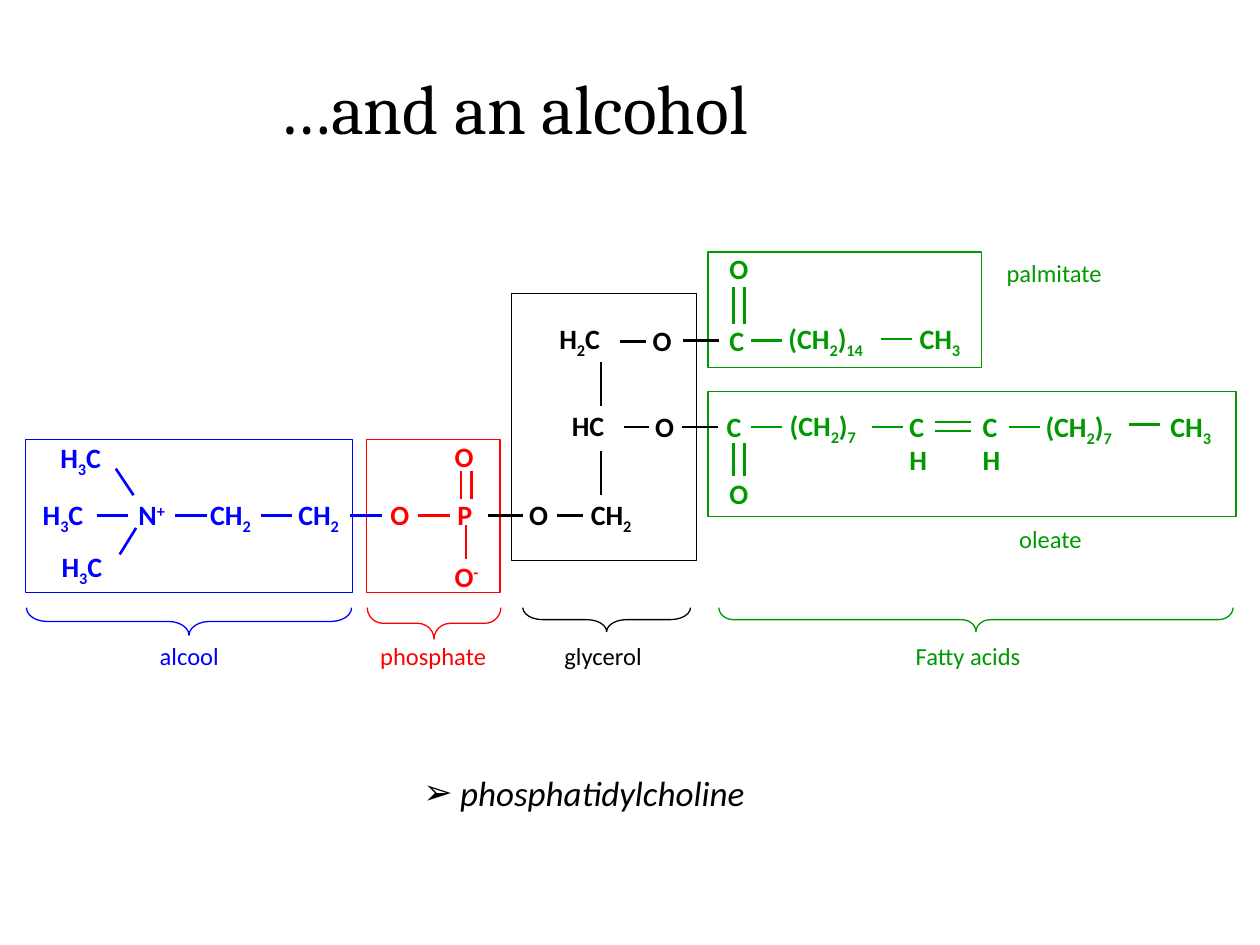
import pptx
import pptx.dml.color
import pptx.enum.shapes
import pptx.enum.text
import pptx.oxml.ns
import pptx.util
from lxml import etree

Pt = pptx.util.Pt

THEME = {
    "alcohol": "0000FF", "phosphate": "FF0000", "glycerol": "000000",
    "fatty acids": "009900", "text": "000000", "paper": "FFFFFF",
    "font": "Calibri", "title font": "Cambria",
    "title": 40, "list": 20, "atom": 16, "label": 14,
    "outline": 0.75, "bond": 1.5,
}

TITLE = ("…and an alcohol", (151.9, 33.1, 325.4, 55.4))
MOLECULE = ("phosphatidylcholine", (234.7, 437, 203.8, 31.7))
BULLET_INDENT = 21

# Formulas: runs split by "|", "_" marks a subscript and "^" a superscript.
H3C, H2C, CH2, CH3 = "H|_3|C", "H|_2|C", "CH|_2", "CH|_3"
CH2_7, CH2_14 = "(CH|_2|)|_7", "(CH|_2|)|_14"
ATOM_WIDTHS = {
    H3C: 44.6, H2C: 44.6, CH2: 44.6, CH3: 44.6, CH2_7: 60.5, CH2_14: 67,
    "CH": 24.5, "C": 23.8, "O": 27.4, "P": 25.2, "HC": 37.4, "N|^+": 32.4, "O|^-": 31,
}
ATOM_HEIGHT = 26.6
CHAIN_TOP, CHAIN_AXIS = 280.8, 294.5      # alcohol - phosphate - glycerol
OLEATE_TOP, OLEATE_AXIS = 230.4, 244
PALMITATE_TOP, PALMITATE_AXIS = 180, 194.4
BRACE_TOP, LABEL_TOP = 347.2, 362.9

# boxes: left, top, width, height; brace: left, width, depth, curl
# labels: text, left, top, width; atoms: formula, left, top
# bonds: x1, y1, x2, y2; double bonds: the centre line and the gap
PARTS = {
    "fatty acids": {
        "boxes": [(404.6, 223.9, 301.7, 71.3), (404.6, 144, 156.2, 66.2)],
        "brace": (410.8, 293.8, 13.7, 0.61),
        "labels": [("Fatty acids", 516.2, LABEL_TOP, 75.6),
                   ("palmitate", 568.1, 144, 71.3), ("oleate", 575.3, 295.9, 52.6)],
        "atoms": [("O", 409.7, 140.4), ("C", 409.7, 181.4),
                  (CH2_14, 443.5, PALMITATE_TOP), (CH3, 518.4, PALMITATE_TOP),
                  ("C", 408.2, OLEATE_TOP), ("O", 409.7, 268.6),
                  (CH2_7, 444.2, 229.7), ("CH", 512.6, OLEATE_TOP),
                  ("CH", 554.4, OLEATE_TOP), (CH2_7, 590.4, OLEATE_TOP),
                  (CH3, 661.7, OLEATE_TOP)],
        "bonds": [(429.1, PALMITATE_AXIS, 447.1, PALMITATE_AXIS),
                  (503.3, 193.7, 521.3, 193.7),
                  (429.1, OLEATE_AXIS, 447.1, OLEATE_AXIS),
                  (498.2, OLEATE_AXIS, 516.2, OLEATE_AXIS),
                  (576.4, OLEATE_AXIS, 594.4, OLEATE_AXIS),
                  (645.1, 242.6, 663.1, 242.6)],
        "double bonds": [(422.3, 164.2, 422.3, 185, 6.5),
                         (422.3, 253.4, 422.3, 272.2, 6.5),
                         (534.2, 243.7, 555.1, 243.7, 5)],
    },
    "glycerol": {
        "boxes": [(292.3, 167.8, 105.8, 152.6)],
        "brace": (298.8, 95.8, 13.7, 0.83),
        "labels": [("glycerol", 315.4, LABEL_TOP, 59)],
        "atoms": [(H2C, 312.5, PALMITATE_TOP), ("O", 365.8, 181.4),
                  ("HC", 319.7, 229.7), ("O", 367.2, OLEATE_TOP),
                  ("O", 295.2, CHAIN_TOP), (CH2, 330.5, CHAIN_TOP)],
        "bonds": [(343.4, 206.6, 343.4, 231.8), (343.4, 257.8, 343.4, 283),
                  (354.2, 195.1, 369.4, 195.1),
                  (390.2, PALMITATE_AXIS, 411.1, PALMITATE_AXIS),
                  (356.4, OLEATE_AXIS, 370.8, OLEATE_AXIS),
                  (389.5, OLEATE_AXIS, 410.4, OLEATE_AXIS),
                  (278.6, CHAIN_AXIS, 298.8, CHAIN_AXIS),
                  (318.2, CHAIN_AXIS, 333.4, CHAIN_AXIS)],
        "double bonds": [],
    },
    "phosphate": {
        "boxes": [(209.5, 251.3, 76.3, 87.1)],
        "brace": (209.9, 76.3, 18, 0.51),
        "labels": [("phosphate", 210.2, LABEL_TOP, 79.9)],
        "atoms": [("O", 252.7, 247.7), ("O", 216, CHAIN_TOP),
                  ("P", 254.2, CHAIN_TOP), ("O|^-", 252.7, 316.1)],
        "bonds": [(239, CHAIN_AXIS, 257, CHAIN_AXIS), (266.4, 300.2, 266.4, 319.7)],
        "double bonds": [(266.4, 269.3, 266.4, 285.1, 5.8)],
    },
    "alcohol": {
        "boxes": [(14.4, 251.3, 187.2, 87.1)],
        "brace": (15.1, 185.8, 15.8, 0.74),
        "labels": [("alcool", 84.2, LABEL_TOP, 51.1)],
        "atoms": [(H3C, 27.4, 248.4), (H3C, 17.3, CHAIN_TOP), (H3C, 28.1, 310.3),
                  ("N|^+", 72, CHAIN_TOP), (CH2, 113, CHAIN_TOP), (CH2, 163.4, CHAIN_TOP)],
        "bonds": [(x, CHAIN_AXIS, x + 18, CHAIN_AXIS) for x in (55.4, 100.1, 149, 200.2)]
                 + [(66.2, 267.8, 76.3, 283), (68.4, 316.8, 77.8, 301.7)],
        "double bonds": [],
    },
}
BASELINES = {"_": "-25000", "^": "30000"}


def rgb(name):
    return pptx.dml.color.RGBColor.from_string(THEME[name])


def add_run(paragraph, text, size, color, font="font", bold=False, italic=False):
    run = paragraph.add_run()
    run.text = text
    run.font.name, run.font.size = THEME[font], Pt(THEME[size])
    run.font.bold, run.font.italic = bold, italic
    run.font.color.rgb = rgb(color)
    return run


def add_outline(slide, kind, frame, color):
    shape = slide.shapes.add_shape(kind, *map(Pt, frame))
    shape.shadow.inherit = False
    shape.line.color.rgb, shape.line.width = rgb(color), Pt(THEME["outline"])
    return shape


def add_box(slide, frame, color):
    box = add_outline(slide, pptx.enum.shapes.MSO_SHAPE.RECTANGLE, frame, color)
    box.fill.solid()
    box.fill.fore_color.rgb = rgb("paper")


def add_brace(slide, left, width, depth, curl, color):
    """Turn a left brace so that it points down below its part."""
    frame = (left + (width - depth) / 2, BRACE_TOP + (depth - width) / 2, depth, width)
    brace = add_outline(slide, pptx.enum.shapes.MSO_SHAPE.LEFT_BRACE, frame, color)
    brace.fill.background()
    brace.rotation = 270
    brace.adjustments[0] = curl


def add_text_box(slide, left, top, width, height, wrap):
    frame = slide.shapes.add_textbox(*map(Pt, (left, top, width, height))).text_frame
    frame.word_wrap = wrap
    frame.auto_size = pptx.enum.text.MSO_AUTO_SIZE.SHAPE_TO_FIT_TEXT
    return frame.paragraphs[0]


def add_atom(slide, formula, left, top, color):
    paragraph = add_text_box(slide, left, top, ATOM_WIDTHS[formula], ATOM_HEIGHT, True)
    for piece in formula.split("|"):
        run = add_run(paragraph, piece.lstrip("_^"), "atom", color, bold=True)
        if piece[0] in BASELINES:
            run.font._element.set("baseline", BASELINES[piece[0]])


def add_bond(slide, ends, color):
    bond = slide.shapes.add_connector(
        pptx.enum.shapes.MSO_CONNECTOR.STRAIGHT, *map(Pt, ends))
    bond.line.color.rgb, bond.line.width = rgb(color), Pt(THEME["bond"])
    etree.SubElement(bond._element.spPr, pptx.oxml.ns.qn("a:effectLst"))


def add_double_bond(slide, x1, y1, x2, y2, gap, color):
    dx, dy = (gap / 2, 0) if x1 == x2 else (0, gap / 2)
    for side in (-1, 1):
        add_bond(slide, (x1 + side * dx, y1 + side * dy, x2 + side * dx, y2 + side * dy), color)


def place(shape, frame):
    """Move a placeholder and return its first paragraph, set flush left."""
    shape.left, shape.top, shape.width, shape.height = map(Pt, frame)
    shape.text_frame.word_wrap = False
    shape.text_frame.auto_size = pptx.enum.text.MSO_AUTO_SIZE.NONE
    paragraph = shape.text_frame.paragraphs[0]
    paragraph.alignment = pptx.enum.text.PP_ALIGN.LEFT
    paragraph.space_before = Pt(0)
    return paragraph


def main():
    presentation = pptx.Presentation()
    presentation.slide_width, presentation.slide_height = Pt(720), Pt(540)
    slide = presentation.slides.add_slide(presentation.slide_layouts[1])

    add_run(place(slide.shapes.title, TITLE[1]), TITLE[0], "title", "text", "title font")
    item = place(slide.placeholders[1], MOLECULE[1])
    properties = item._p.get_or_add_pPr()
    properties.set("marL", str(Pt(BULLET_INDENT)))
    properties.set("indent", str(-Pt(BULLET_INDENT)))
    etree.SubElement(properties, pptx.oxml.ns.qn("a:buChar")).set("char", "➢")
    add_run(item, MOLECULE[0], "list", "text", italic=True)

    for color, part in PARTS.items():
        for frame in part["boxes"]:
            add_box(slide, frame, color)
        add_brace(slide, *part["brace"], color)
        for text, left, top, width in part["labels"]:
            add_run(add_text_box(slide, left, top, width, 24, False), text, "label", color)
    for color, part in PARTS.items():
        for atom in part["atoms"]:
            add_atom(slide, *atom, color)
        for ends in part["bonds"]:
            add_bond(slide, ends, color)
        for double_bond in part["double bonds"]:
            add_double_bond(slide, *double_bond, color)
    presentation.save("out.pptx")


if __name__ == "__main__":
    main()
